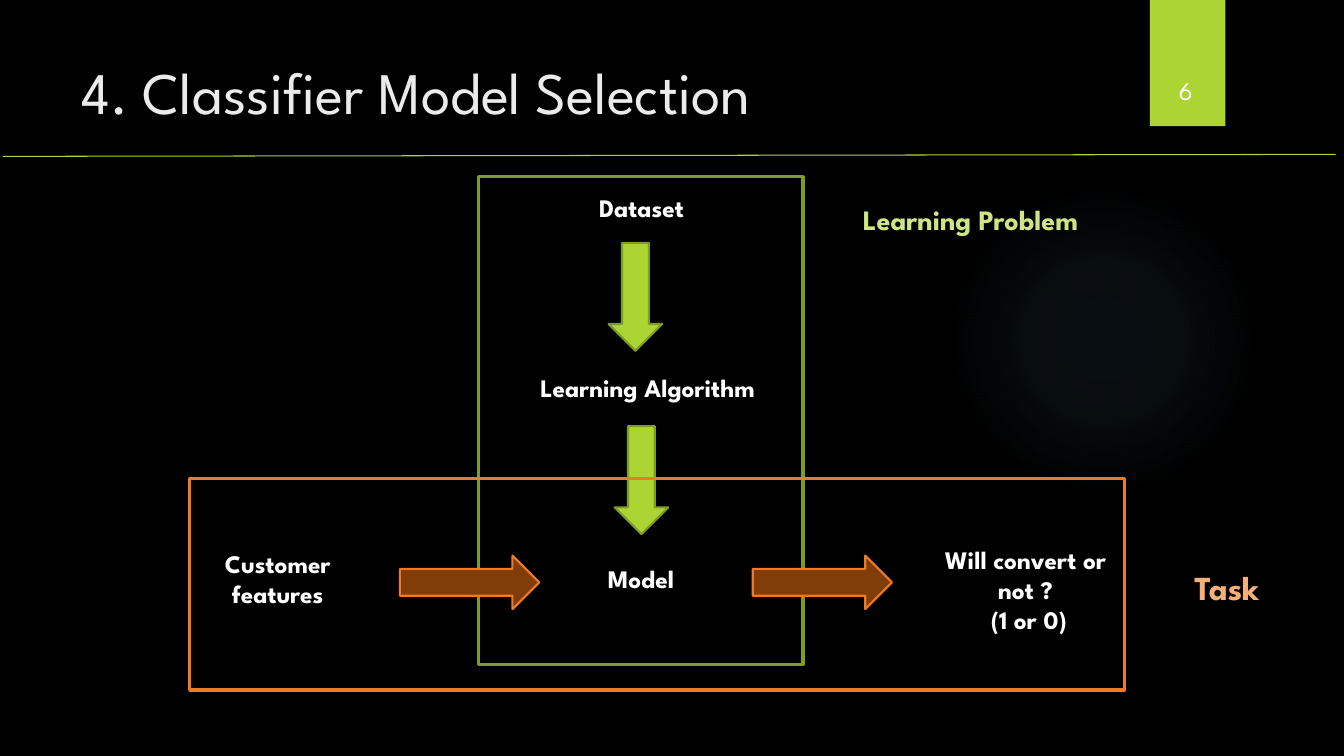
"""Builds the classifier model selection slide, a learning flow crossing a task flow."""
from lxml.etree import SubElement
from pptx import Presentation
from pptx.dml.color import RGBColor
from pptx.enum.shapes import MSO_CONNECTOR, MSO_SHAPE as SHAPE
from pptx.enum.text import MSO_ANCHOR, PP_ALIGN as ALIGN
from pptx.oxml import parse_xml
from pptx.oxml.ns import nsdecls, qn
from pptx.util import Cm, Pt

FONT = "League Spartan"
LIME, OLIVE, ORANGE, BROWN, WHITE = "ACD433", "7F9D26", "EF7A24", "803C09", "FFFFFF"
rgb = RGBColor.from_string


def add_box(kind, x, y, w, h, fill=None, line=None, weight=1.5):
    sp = s.shapes.add_shape(kind, Cm(x), Cm(y), Cm(w), Cm(h))
    sp.shadow.inherit = False
    if fill:
        sp.fill.solid()
        sp.fill.fore_color.rgb = rgb(fill)
    else:
        sp.fill.background()
    if line:
        sp.line.color.rgb = rgb(line)
        sp.line.width = Pt(weight)
    else:
        sp.line.fill.background()
    return sp


def add_text(text, x, y, w, h, size=18, color=WHITE, bold=True, align=ALIGN.CENTER):
    tf = s.shapes.add_textbox(Cm(x), Cm(y), Cm(w), Cm(h)).text_frame
    tf.word_wrap = True
    tf.vertical_anchor = MSO_ANCHOR.TOP
    tf.text = text
    for p in tf.paragraphs:
        p.alignment = align
        p.font.name = FONT
        p.font.size = Pt(size)
        p.font.bold = bold
        p.font.color.rgb = rgb(color)


prs = Presentation()
prs.slide_width, prs.slide_height = Cm(33.87), Cm(19.05)
s = prs.slides.add_slide(prs.slide_layouts[6])
s.background.fill.solid()
s.background.fill.fore_color.rgb = rgb("000000")

glow = add_box(SHAPE.OVAL, 23.9, 4.65, 7.82, 7.82)
grad = parse_xml(f'<a:gradFill {nsdecls("a")} rotWithShape="1"><a:gsLst/><a:path path="circle">'
                 '<a:fillToRect l="50000" t="50000" r="50000" b="50000"/></a:path></a:gradFill>')
for pos, alpha in [(0, 7), (36, 6), (69, 0)]:
    stop = SubElement(grad[0], qn("a:gs"), pos=str(pos * 1000))
    color = SubElement(stop, qn("a:srgbClr"), val="7AC4F0")
    SubElement(color, qn("a:alpha"), val=str(alpha * 1000))
no_fill = glow._element.spPr.find(qn("a:noFill"))
no_fill.getparent().replace(no_fill, grad)

add_box(SHAPE.RECTANGLE, 28.98, 0, 1.9, 3.18, fill=LIME)
add_box(SHAPE.RECTANGLE, 12.06, 4.45, 8.18, 12.29, line=OLIVE, weight=2.25)
add_text("4. Classifier Model Selection", 1.8, 1.27, 26.14, 3.89, 42, "EBEBEB", False, ALIGN.LEFT)

rule = s.shapes.add_connector(MSO_CONNECTOR.STRAIGHT, Cm(0.08), Cm(3.94), Cm(33.66), Cm(3.89))
rule.line.color.rgb = rgb(LIME)
rule.line.width = Pt(0.75)
SubElement(rule._element.spPr, qn("a:effectLst"))

add_text("6", 26.09, 1.78, 7.59, 1.02, bold=False)

for x, y in [(15.34, 6.12), (15.49, 10.74)]:
    add_box(SHAPE.DOWN_ARROW, x, y, 1.35, 2.72, LIME, OLIVE)
for x in (10.08, 18.97):
    add_box(SHAPE.RIGHT_ARROW, x, 14, 3.51, 1.35, BROWN, ORANGE)

for label, x, y, w, h in [
    ("Dataset", 13.26, 4.72, 5.82, 1.02),
    ("Learning Algorithm", 12.98, 9.25, 6.68, 1.02),
    ("Model", 14.07, 14.07, 4.17, 1.02),
    ("Customer features", 4.98, 13.69, 4.04, 1.8),
    ("Will convert or not ?\n (1 or 0)", 23.42, 13.59, 4.85, 2.57),
]:
    add_text(label, x, y, w, h)

add_text("Learning Problem", 20.65, 4.98, 7.62, 1.12, 20, "CDE584")
add_text("Task", 29.46, 14.17, 2.92, 1.27, 24, "F5AF7B")
add_box(SHAPE.RECTANGLE, 4.78, 12.06, 23.55, 5.33, line=ORANGE, weight=2.25)

prs.save("out.pptx")
